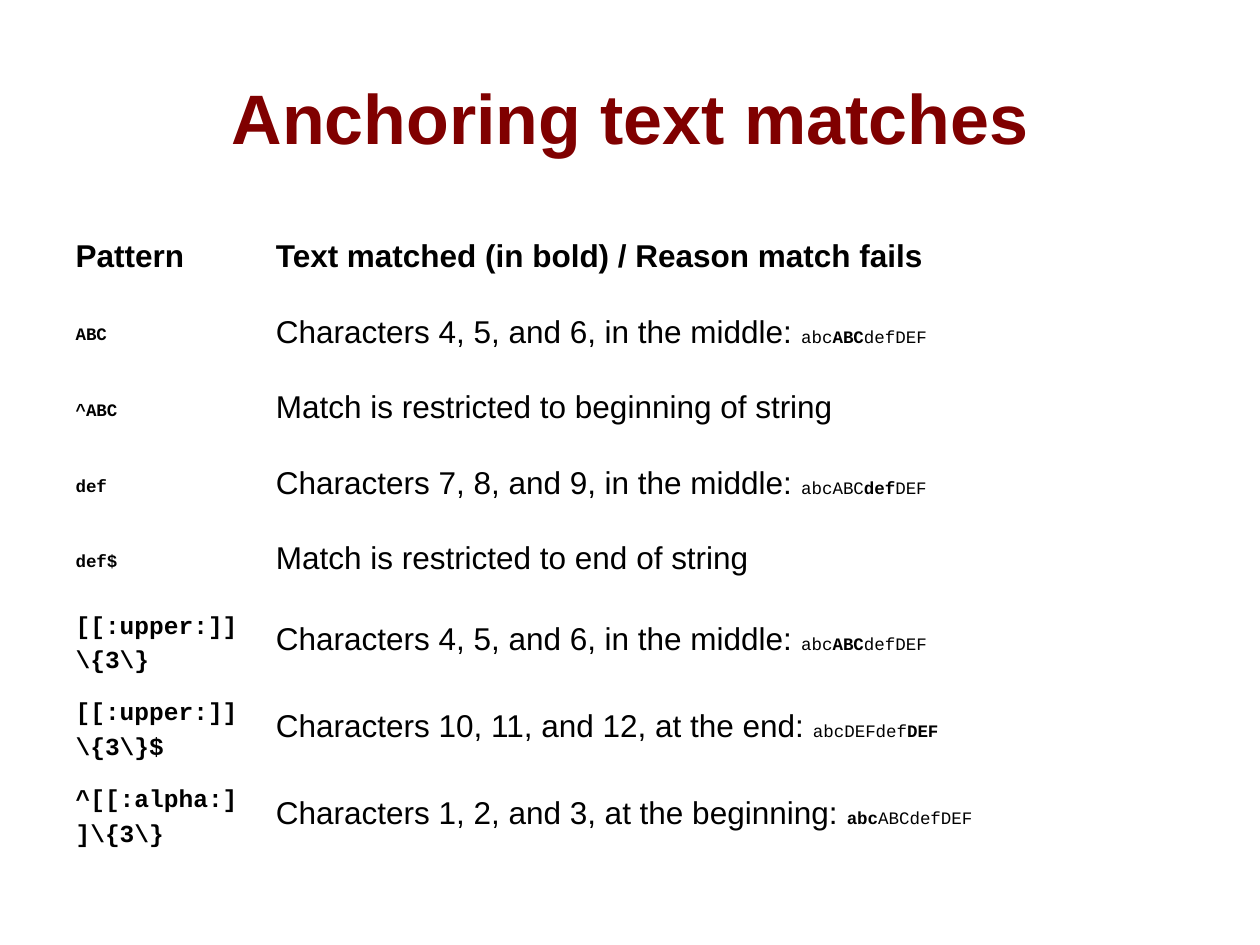
from pptx import Presentation
from pptx.dml.color import RGBColor
from pptx.enum.text import MSO_ANCHOR, PP_ALIGN
from pptx.util import Inches, Pt

MAROON = RGBColor(0x80, 0x00, 0x00)
BLACK = RGBColor(0x00, 0x00, 0x00)
MIDDLE = MSO_ANCHOR.MIDDLE
CENTER = PP_ALIGN.CENTER
SANS, MONO = "Arial", "Courier New"

TITLE = "Anchoring text matches"
HEADINGS = ("Pattern", "Text matched (in bold) / Reason match fails")
# pattern, pattern size, explanation, sample split as (before, match, after)
MATCHES = [
    ("ABC", 10, "Characters 4, 5, and 6, in the middle: ", ("abc", "ABC", "defDEF")),
    ("^ABC", 10, "Match is restricted to beginning of string", ()),
    ("def", 10, "Characters 7, 8, and 9, in the middle: ", ("abcABC", "def", "DEF")),
    ("def$", 10, "Match is restricted to end of string", ()),
    (r"[[:upper:]]\{3\}", 14, "Characters 4, 5, and 6, in the middle: ", ("abc", "ABC", "defDEF")),
    (r"[[:upper:]]\{3\}$", 14, "Characters 10, 11, and 12, at the end: ", ("abcDEFdef", "DEF", "")),
    (r"^[[:alpha:]]\{3\}", 14, "Characters 1, 2, and 3, at the beginning: ", ("", "abc", "ABCdefDEF")),
]
COLUMN_WIDTHS = (1.59, 7.33)
ROW_HEIGHTS = (0.6,) * 6 + (0.69,) * 2
PATTERN_SPACING, TEXT_SPACING = 1.25, 0.87


def add_run(paragraph, text, size, font=SANS, bold=False, color=BLACK):
    run = paragraph.add_run()
    run.text = text
    run.font.name = font
    run.font.size = Pt(size)
    run.font.bold = bold
    run.font.color.rgb = color


def add_title(slide, left, top, width, height):
    title = slide.shapes.add_textbox(left, top, width, height).text_frame
    title.word_wrap = True
    title.vertical_anchor = MIDDLE
    paragraph = title.paragraphs[0]
    paragraph.alignment = CENTER
    add_run(paragraph, TITLE, 40, bold=True, color=MAROON)


def open_cell(cell, line_spacing):
    """Clear the cell's fill and return its paragraph, ready for runs."""
    cell.fill.background()
    cell.vertical_anchor = MIDDLE
    paragraph = cell.text_frame.paragraphs[0]
    paragraph.line_spacing = line_spacing
    return paragraph


def add_match_table(slide, left, top, width, height):
    table = slide.shapes.add_table(
        len(MATCHES) + 1, len(HEADINGS), left, top, width, height).table
    table.first_row = False
    table.horz_banding = False
    for column, column_width in zip(table.columns, COLUMN_WIDTHS):
        column.width = Inches(column_width)
    for row, row_height in zip(table.rows, ROW_HEIGHTS):
        row.height = Inches(row_height)

    for column, heading in enumerate(HEADINGS):
        add_run(open_cell(table.cell(0, column), TEXT_SPACING), heading, 18, bold=True)

    for row, (pattern, size, explanation, sample) in enumerate(MATCHES, start=1):
        add_run(open_cell(table.cell(row, 0), PATTERN_SPACING), pattern, size, MONO, bold=True)
        result = open_cell(table.cell(row, 1), TEXT_SPACING)
        add_run(result, explanation, 18)
        for part, text in enumerate(sample):
            if text:
                add_run(result, text, 10, MONO, bold=part == 1)


def main():
    presentation = Presentation()
    presentation.slide_width = Inches(10)
    presentation.slide_height = Inches(7.5)
    slide = presentation.slides.add_slide(presentation.slide_layouts[6])
    add_title(slide, Inches(0.5), Inches(0.3), Inches(9), Inches(1.25))
    add_match_table(slide, Inches(0.5), Inches(1.75),
                    Inches(sum(COLUMN_WIDTHS)), Inches(sum(ROW_HEIGHTS)))
    presentation.save("out.pptx")


if __name__ == "__main__":
    main()
